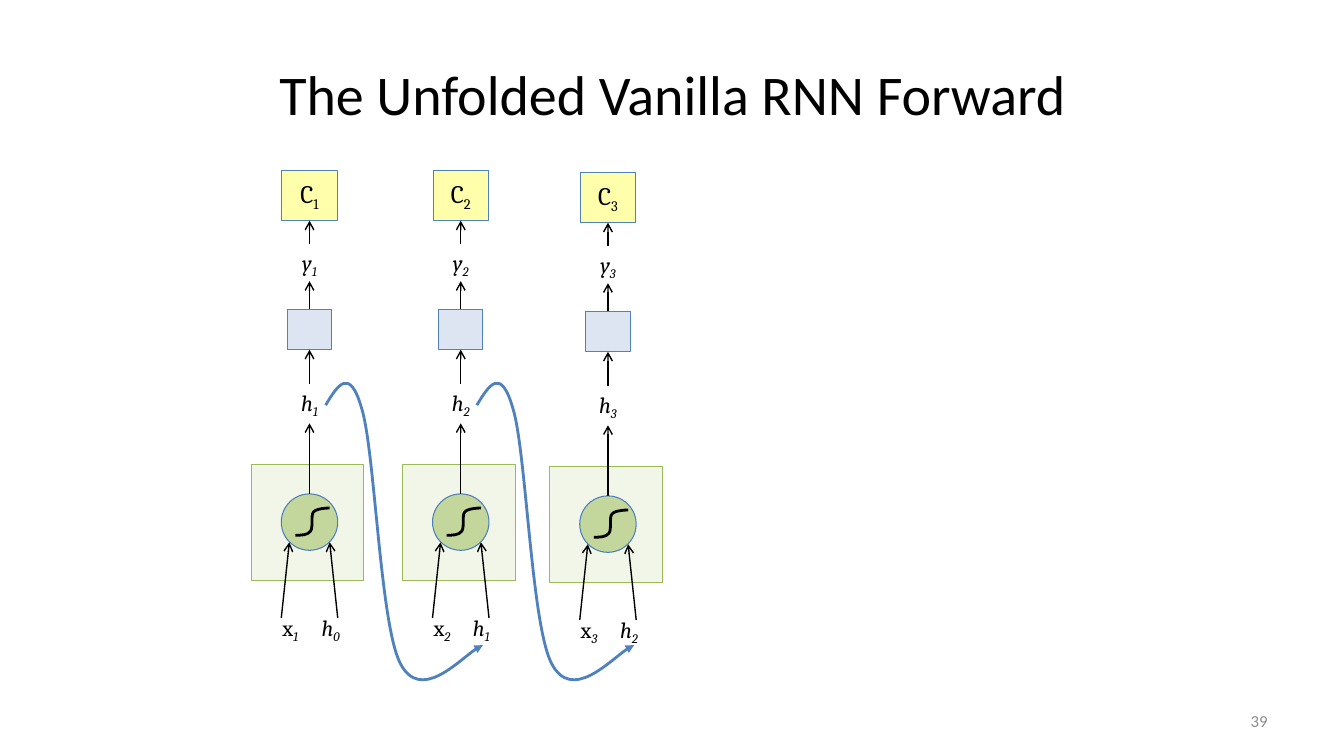
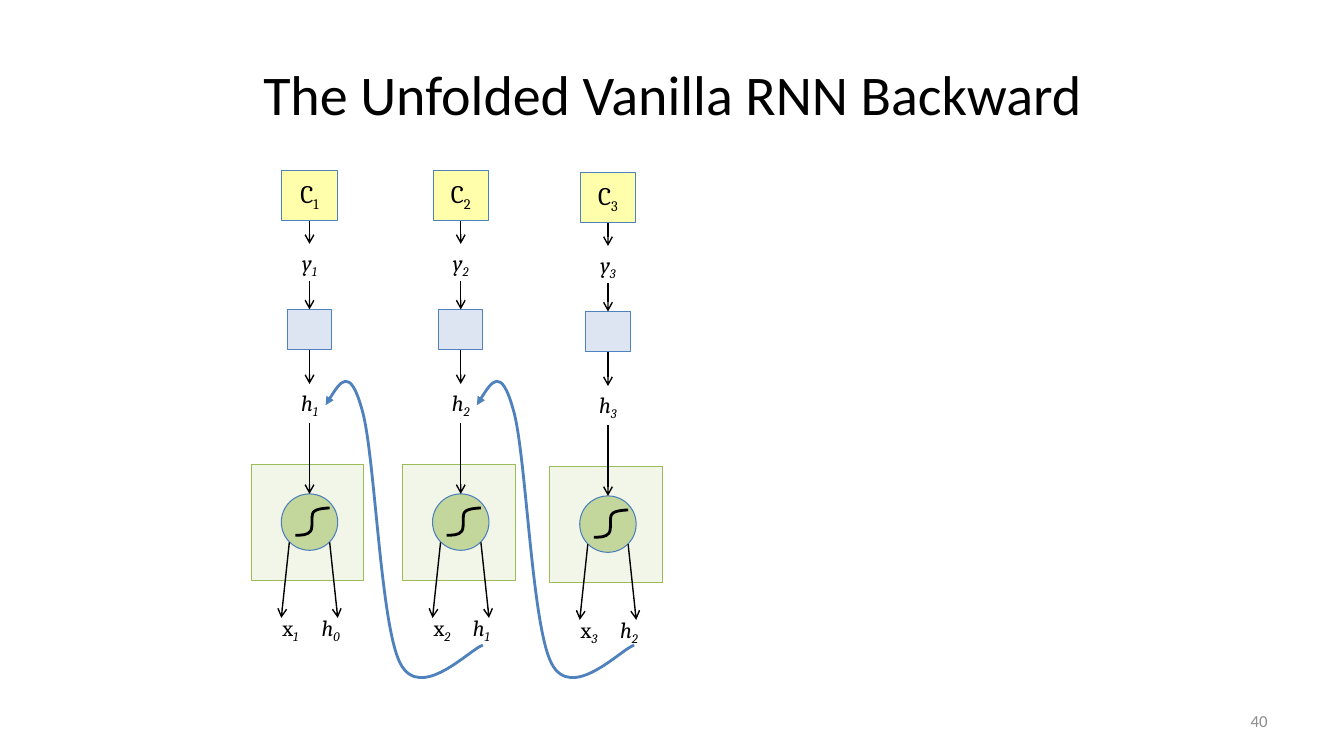
from dataclasses import dataclass

from lxml import etree
from pptx import Presentation
from pptx.dml.color import RGBColor
from pptx.enum.shapes import MSO_CONNECTOR, MSO_SHAPE
from pptx.enum.text import MSO_ANCHOR, PP_ALIGN
from pptx.oxml.ns import qn
from pptx.util import Inches, Pt

RECT, OVAL = MSO_SHAPE.RECTANGLE, MSO_SHAPE.OVAL
STRAIGHT = MSO_CONNECTOR.STRAIGHT
MIDDLE = MSO_ANCHOR.MIDDLE
CENTER, LEFT, RIGHT = PP_ALIGN.CENTER, PP_ALIGN.LEFT, PP_ALIGN.RIGHT
TOP, BOTTOM = 0, 2
BODY, MATH = "Calibri", "Cambria"

COLORS = {
    "ink": "000000",
    "number": "8C8C8C",
    "cell": "D7E4BD",
    "cell edge": "9BBB59",
    "node": "C3D69B",
    "node edge": "4B7EBC",
    "layer": "95B3D7",
    "cost": "FFFF00",
    "blue": "4F81BD",
}


@dataclass
class Step:
    num: int
    mid: float
    drop: float = 0


@dataclass
class Page:
    title: str
    num: int
    tip: str


@dataclass
class Block:
    kind: int
    top: float
    wide: float
    high: float
    fill: str
    edge: str
    alpha: int = 100
    shift: float = 0
    turn: int = 0


@dataclass
class Curve:
    """Cubic pieces: a start, then two controls and an end for each.

    Across is measured from the middle of a step, down from the slide's top.
    """
    low: tuple
    high: tuple
    dots: list
    color: str


@dataclass
class Part:
    text: str
    slant: bool = True
    sub: bool = False


STEPS = [Step(1, 3.07), Step(2, 4.57), Step(3, 6.03, 0.02)]
PAGES = [
    Page("The Unfolded Vanilla RNN Forward", 39, "a:tailEnd"),
    Page("The Unfolded Vanilla RNN Backward", 40, "a:headEnd"),
]
CELL = Block(RECT, 4.62, 1.15, 1.12, "cell", "cell edge", 33, -0.02, 270)
NODE = Block(OVAL, 4.9, 0.56, 0.56, "node", "node edge")
LAYER = Block(RECT, 3.07, 0.44, 0.4, "layer", "blue", 33)
COST = Block(RECT, 1.69, 0.55, 0.5, "cost", "blue", 33)
SIGMOID = Curve((-0.14, 5.04), (0.2, 5.31), [
    (-0.14, 5.31), (-0.08, 5.31), (-0.02, 5.31), (0.01, 5.27),
    (0.04, 5.23), (0.01, 5.11), (0.04, 5.08),
    (0.07, 5.04), (0.2, 5.04), (0.2, 5.04)], "ink")
LOOP = Curve((0.16, 3.8), (1.72, 6.72), [
    (0.16, 4.02), (0.28, 3.82), (0.4, 3.63), (0.52, 4.06),
    (0.65, 4.49), (0.7, 6.19), (0.9, 6.58),
    (1.1, 6.97), (1.59, 6.44), (1.72, 6.4)], "blue")


def rgb(name: str) -> RGBColor:
    return RGBColor.from_string(COLORS[name])


def style(run, font: str, size: float, color: str = "ink") -> None:
    run.font.name, run.font.size = font, Pt(size)
    run.font.color.rgb = rgb(color)


def stroke(shape, color: str, width: float) -> None:
    shape.line.color.rgb = rgb(color)
    shape.line.width = Pt(width)


def point(shape, tip: str, kind: str) -> None:
    """Put an arrowhead on the end of the line that tip names."""
    line = shape.element.spPr.find(qn("a:ln"))
    etree.SubElement(line, qn(tip), type=kind)


def write(slide, text: str, box: tuple, size: float, color: str, align) -> None:
    frame = slide.shapes.add_textbox(*map(Inches, box)).text_frame
    frame.word_wrap, frame.vertical_anchor = True, MIDDLE
    frame.text = text
    para = frame.paragraphs[0]
    para.alignment = align
    style(para.runs[0], BODY, size, color)


def symbols(frame, parts: list, size: float, align=CENTER) -> None:
    """Write letters and their subscripts in one line."""
    frame.word_wrap = False
    para = frame.paragraphs[0]
    para.alignment = align
    for part in parts:
        run = para.add_run()
        run.text = part.text
        style(run, MATH, size)
        run.font.italic = part.slant
        if part.sub:
            run.font._element.set("baseline", "-25000")


def label(shapes, base: str, step: Step, top: float) -> None:
    box = shapes.add_textbox(Inches(step.mid - 0.2), Inches(top + step.drop),
                             Inches(0.4), Inches(0.37))
    symbols(box.text_frame, [Part(base), Part(str(step.num), sub=True)], 16)


def inputs(shapes, step: Step) -> None:
    """Write the two inputs below a cell, set apart by a tab stop."""
    box = shapes.add_textbox(Inches(step.mid - 0.57), Inches(6.04 + step.drop),
                             Inches(1.12), Inches(0.55))
    frame = box.text_frame
    symbols(frame, [Part("x", slant=False), Part(str(step.num), sub=True),
                    Part("\th"), Part(str(step.num - 1), sub=True)], 16, LEFT)
    frame.word_wrap = True
    frame.margin_left, frame.margin_right = Inches(0.3), 0
    props = frame.paragraphs[0]._p.get_or_add_pPr()
    tabs = etree.SubElement(props, qn("a:tabLst"))
    etree.SubElement(tabs, qn("a:tab"), pos=str(Inches(0.39)), algn="l")


def block(shapes, part: Block, step: Step):
    shape = shapes.add_shape(
        part.kind, Inches(step.mid + part.shift - part.wide / 2),
        Inches(part.top + step.drop), Inches(part.wide), Inches(part.high))
    shape.rotation = part.turn
    shape.shadow.inherit = False
    shape.fill.solid()
    shape.fill.fore_color.rgb = rgb(part.fill)
    if part.alpha < 100:
        tint = shape.element.spPr.find(qn("a:solidFill"))[0]
        etree.SubElement(tint, qn("a:alpha"), val=str(part.alpha * 1000))
    stroke(shape, part.edge, 0.75)
    return shape


def arrow(shapes, start: tuple, end: tuple, tip: str):
    line = shapes.add_connector(STRAIGHT, *map(Inches, start + end))
    stroke(line, "ink", 1)
    point(line, tip, "arrow")
    etree.SubElement(line.element.spPr, qn("a:effectLst"))
    return line


def curve(shapes, bend: Curve, step: Step):
    """Make an outline of the right extent, then give it cubic pieces."""
    def spot(dot: tuple) -> tuple:
        return Inches(step.mid + dot[0]), Inches(dot[1] + step.drop)

    pen = shapes.build_freeform(*spot(bend.low))
    pen.add_line_segments([spot(bend.high)], close=False)
    shape = pen.convert_to_shape()
    left, top = spot(bend.low)
    route = next(shape.element.iter(qn("a:path")))
    for old in list(route):
        route.remove(old)
    for i, dot in enumerate(bend.dots):
        if i % 3 < 2 and i != 0 and i % 3 == 1 or i == 0:
            piece = etree.SubElement(route, qn("a:cubicBezTo" if i else "a:moveTo"))
        x, y = spot(dot)
        etree.SubElement(piece, qn("a:pt"), x=str(x - left), y=str(y - top))
    shape.shadow.inherit = False
    shape.fill.background()
    stroke(shape, bend.color, 2)
    return shape


def column(slide, step: Step, tip: str) -> None:
    """Draw one time step, from its inputs up to its cost."""
    shapes = slide.shapes.add_group_shape().shapes
    mid, drop = step.mid, step.drop

    def rise(low: float, high: float):
        return arrow(shapes, (mid, low + drop), (mid, high + drop), tip)

    block(shapes, CELL, step)
    node = block(shapes, NODE, step)
    curve(shapes, SIGMOID, step)
    rise(4.9, 4.2).begin_connect(node, TOP)
    for side in (-1, 1):
        arrow(shapes, (mid + side * 0.28, 6.13 + drop),
              (mid + side * 0.2, 5.38 + drop), tip)
    label(shapes, "h", step, 3.81)
    inputs(shapes, step)

    layer = block(shapes, LAYER, step)
    rise(3.81, 3.47).end_connect(layer, BOTTOM)
    cost = block(shapes, COST, step)
    symbols(cost.text_frame, [Part("C", False), Part(str(step.num), False, True)], 18)
    cost.text_frame.vertical_anchor = MIDDLE
    label(shapes, "y", step, 2.42)
    rise(2.42, 2.19).end_connect(cost, BOTTOM)
    rise(3.07, 2.79).begin_connect(layer, TOP)


def build(deck, page: Page) -> None:
    slide = deck.slides.add_slide(deck.slide_layouts[6])
    write(slide, page.title, (0.67, 0.3, 12, 1.25), 40, "ink", CENTER)
    write(slide, str(page.num), (9.56, 6.95, 3.11, 0.4), 12, "number", RIGHT)
    for step in STEPS:
        column(slide, step, page.tip)
    for step in STEPS[:-1]:
        point(curve(slide.shapes, LOOP, step), page.tip, "triangle")


def main() -> None:
    deck = Presentation()
    deck.slide_width, deck.slide_height = Inches(13.33), Inches(7.5)
    for page in PAGES:
        build(deck, page)
    deck.save("out.pptx")


if __name__ == "__main__":
    main()
